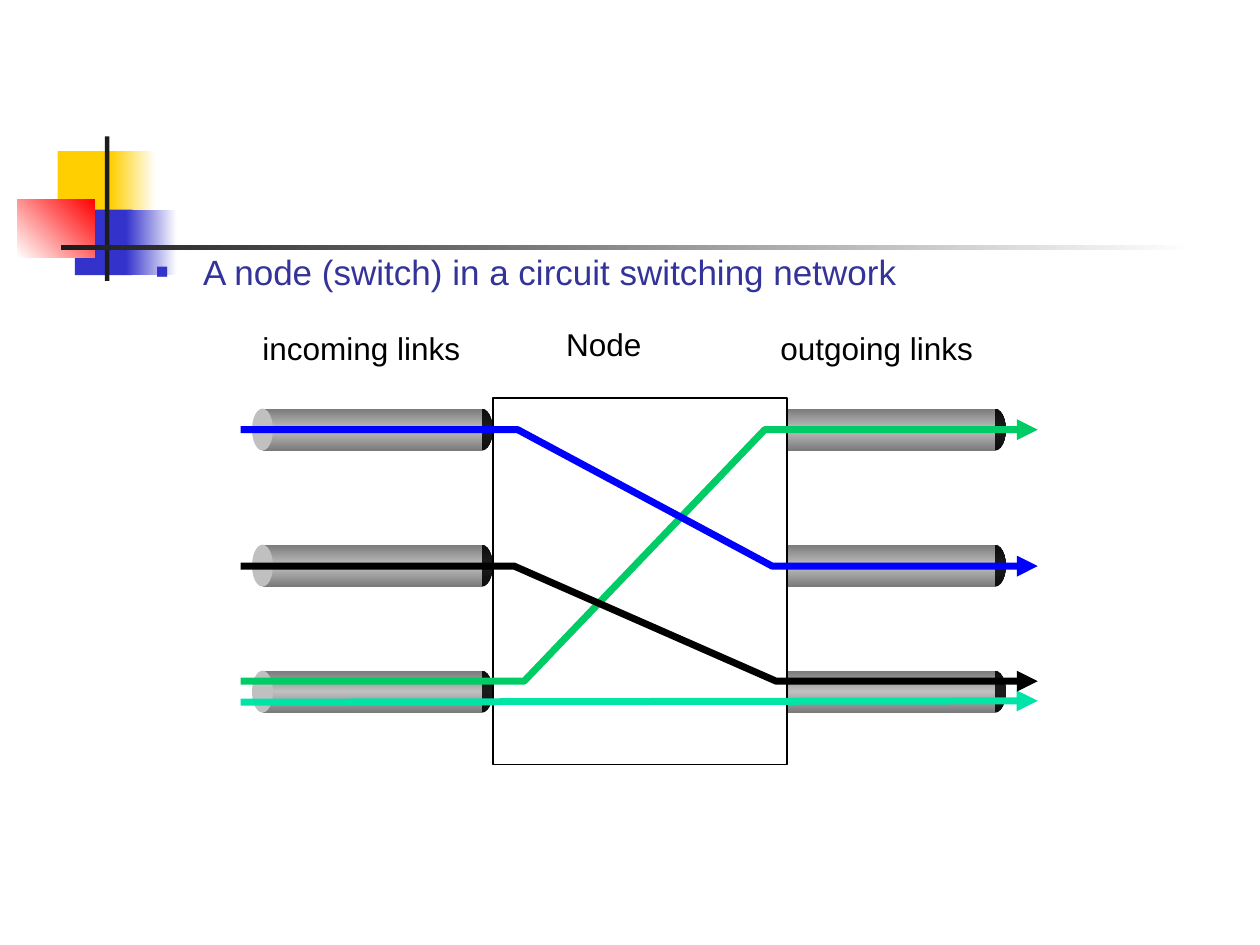
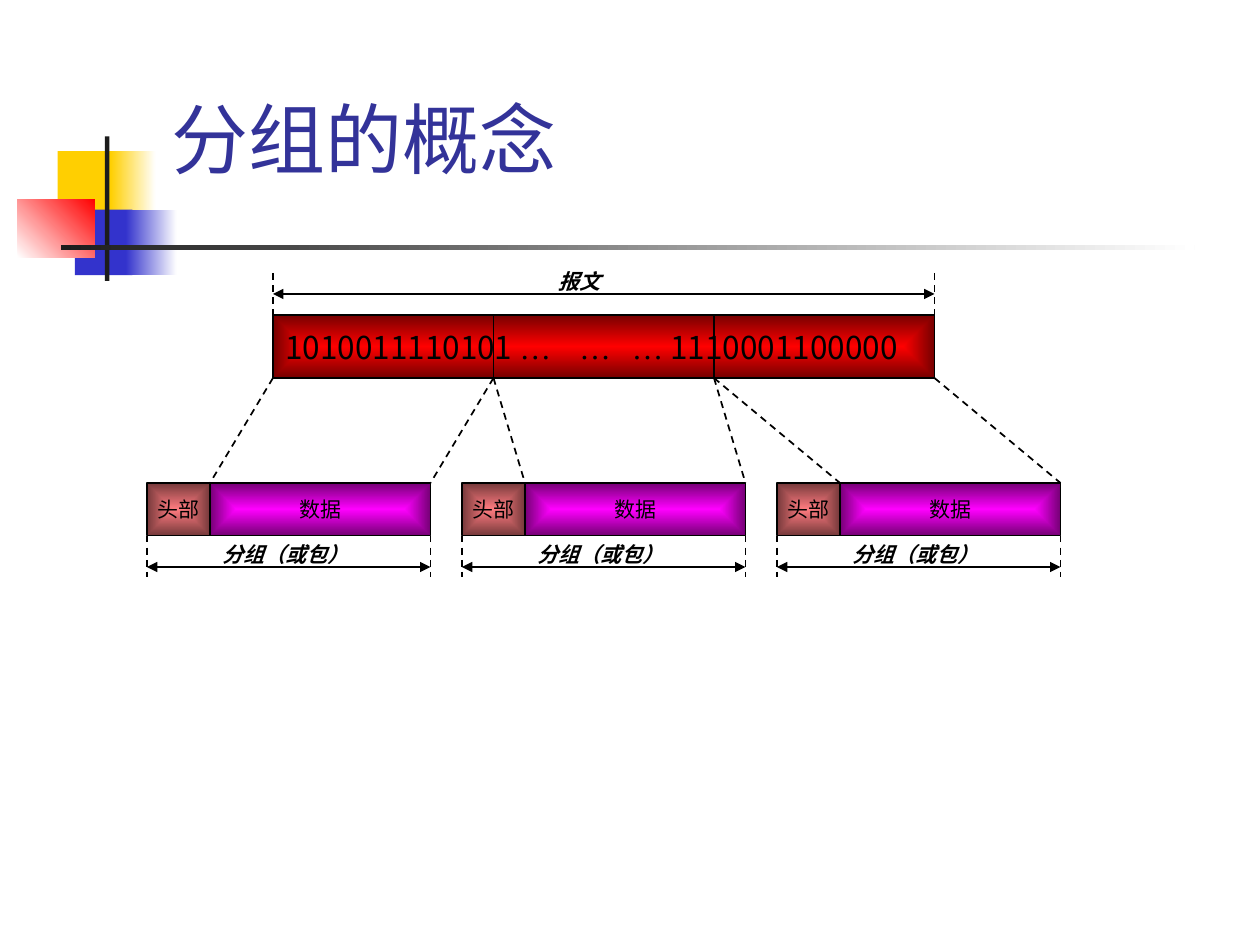
from lxml.etree import SubElement
from pptx import Presentation
from pptx.dml.color import RGBColor
from pptx.enum.dml import MSO_LINE
from pptx.enum.shapes import MSO_CONNECTOR, MSO_SHAPE
from pptx.enum.text import MSO_ANCHOR, MSO_AUTO_SIZE, PP_ALIGN
from pptx.oxml.ns import qn
from pptx.util import Pt

RECT, ELLIPSE = MSO_SHAPE.RECTANGLE, MSO_SHAPE.OVAL
STRAIGHT = MSO_CONNECTOR.STRAIGHT
DASH = MSO_LINE.DASH
LEFT, CENTER = PP_ALIGN.LEFT, PP_ALIGN.CENTER
TOP, MIDDLE, BOTTOM = MSO_ANCHOR.TOP, MSO_ANCHOR.MIDDLE, MSO_ANCHOR.BOTTOM
GROW = MSO_AUTO_SIZE.SHAPE_TO_FIT_TEXT

ARIAL, CJK, TIMES = "Arial", "Noto Sans CJK SC", "Times New Roman"
INSETS = (7.2, 3.6)

COLORS = {
    "white": "FFFFFF", "black": "000000", "ink": "1C1C1C", "title": "333399",
    "yellow": "FFCF01", "indigo": "3333CC", "red": "FF0000",
    "pipe_edge": "7A7A7A", "pipe_mid": "C0C0C0", "cap_edge": "0D0D0D",
    "blue_route": "0000FF", "green_route": "00CC66", "teal_route": "00E4A8",
    "message_edge": "760000", "data": "FF00FF", "data_edge": "760076",
    "header": "FF7C80", "header_edge": "76393B",
}


def rgb(name):
    return RGBColor.from_string(COLORS[name])


def fill_gradient(shape, colors, angle):
    """Spread the colours evenly; without an angle they run from the centre out."""
    shape.fill.gradient()
    gradient = shape._element.spPr.find(qn("a:gradFill"))
    for child in list(gradient):
        gradient.remove(child)
    stops = SubElement(gradient, qn("a:gsLst"))
    for i, color in enumerate(colors):
        stop = SubElement(stops, qn("a:gs"), pos=str(100000 * i // (len(colors) - 1)))
        SubElement(stop, qn("a:srgbClr"), val=COLORS[color])
    if angle is None:
        centre = SubElement(gradient, qn("a:path"), path="rect")
        SubElement(centre, qn("a:fillToRect"), l="50000", t="50000", r="50000", b="50000")
    else:
        SubElement(gradient, qn("a:lin"), ang=str(angle * 60000), scaled="0")


def add_block(slide, box, colors, angle=None, outline=0, kind=RECT):
    block = slide.shapes.add_shape(kind, *map(Pt, box))
    block.shadow.inherit = False
    if len(colors) == 1:
        block.fill.solid()
        block.fill.fore_color.rgb = rgb(colors[0])
    else:
        fill_gradient(block, colors, angle)
    if outline:
        block.line.color.rgb = rgb("black")
        block.line.width = Pt(outline)
    else:
        block.line.fill.background()
    return block


def set_stroke(shape, color, width, ends=()):
    shape.line.color.rgb = rgb(color)
    shape.line.width = Pt(width)
    for end in ends:
        SubElement(shape._element.spPr.find(qn("a:ln")), qn(f"a:{end}"), type="triangle")


def add_line(slide, start, stop, color="black", width=1, dash=None, ends=()):
    line = slide.shapes.add_connector(STRAIGHT, *map(Pt, (*start, *stop)))
    if dash:
        line.line.dash_style = dash
    set_stroke(line, color, width, ends)
    SubElement(line._element.spPr, qn("a:effectLst"))


def add_route(slide, points, color):
    (x, y), *rest = [(Pt(x), Pt(y)) for x, y in points]
    builder = slide.shapes.build_freeform(x, y)
    builder.add_line_segments(rest, close=False)
    route = builder.convert_to_shape()
    route.shadow.inherit = False
    route.fill.background()
    set_stroke(route, color, 4, ["tailEnd"])


def write(shape, runs, size, color="black", align=LEFT, anchor=TOP, insets=INSETS,
          wrap=False, emphasis=None):
    """Fill the shape with one paragraph of (text, font) runs and return it."""
    frame = shape.text_frame
    frame.word_wrap = wrap
    frame.vertical_anchor = anchor
    frame.margin_left = frame.margin_right = Pt(insets[0])
    frame.margin_top = frame.margin_bottom = Pt(insets[1])
    paragraph = frame.paragraphs[0]
    paragraph.alignment = align
    for text, font in runs:
        run = paragraph.add_run()
        run.text = text
        run.font.size = Pt(size)
        run.font.bold = run.font.italic = emphasis
        run.font.color.rgb = rgb(color)
        run.font.name = font
        SubElement(run._r.get_or_add_rPr(), qn("a:ea"),
                   typeface=CJK if font == ARIAL else font)
    return paragraph


def add_text(slide, box, runs, size, grow=True, **style):
    text_box = slide.shapes.add_textbox(*map(Pt, box))
    paragraph = write(text_box, runs, size, **style)
    if grow:
        text_box.text_frame.auto_size = GROW
    return paragraph


def add_backdrop(slide):
    """Coloured squares and crossing rules shared by all slides."""
    for box, colors, angle in [
        ((33, 86.4, 34.5, 37.5), ["yellow"], None),
        ((63.25, 86.4, 25.75, 37.5), ["yellow", "white"], 0),
        ((42.75, 119.75, 33, 37.5), ["indigo"], None),
        ((72, 119.75, 29, 37.5), ["indigo", "white"], 0),
        ((10, 113.75, 44.25, 33.5), ["white", "red"], 315),
        ((60, 78, 2.5, 82.5), ["ink"], None),
        ((34.75, 140.25, 648, 2.5), ["ink", "white"], 0),
    ]:
        add_block(slide, box, colors, angle)


def add_bullet_line(slide, box, text):
    paragraph = add_text(slide, box, [(text, ARIAL)], 20, grow=False,
                         color="title", wrap=True)
    paragraph.space_before = Pt(5)
    props = paragraph._p.get_or_add_pPr()
    indent = Pt(27)
    props.set("marL", str(indent))
    props.set("indent", str(-indent))
    bullet_color = SubElement(props, qn("a:buClr"))
    SubElement(bullet_color, qn("a:srgbClr"), val=COLORS["indigo"])
    SubElement(props, qn("a:buSzPct"), val="60000")
    SubElement(props, qn("a:buFont"), typeface=ARIAL)
    SubElement(props, qn("a:buChar"), char="■")


def add_pipe(slide, left, top, width=137.5, height=24, cap=12):
    add_block(slide, (left + width - cap, top, cap, height),
              ["cap_edge", "ink", "cap_edge"], 90, kind=ELLIPSE)
    add_block(slide, (left + cap / 2, top, width - cap, height),
              ["pipe_edge", "pipe_mid", "pipe_edge"], 90)
    add_block(slide, (left, top, cap, height), ["pipe_mid"], kind=ELLIPSE)


def add_switch(slide, left, top):
    """Node with three links on each side and the routes through it."""
    node_left, node_width = left + 144.25, 168
    outgoing_left = node_left + node_width - 12.5
    pipe_tops = [top + 6, top + 83.75, top + 155.75]
    for pipe_top in reversed(pipe_tops):
        add_pipe(slide, outgoing_left, pipe_top)
    add_block(slide, (node_left, top, node_width, 209.5), ["white"], outline=0.75)
    for pipe_top in pipe_tops:
        add_pipe(slide, left + 6.5, pipe_top)

    for text, middle, y, width in [("incoming links", 69, -39.5, 118),
                                   ("outgoing links", 363.5, -39.5, 116),
                                   ("Node", 207.5, -41.75, 48)]:
        add_text(slide, (left + middle - width / 2, top + y, width, 21.6),
                 [(text, ARIAL)], 18, align=CENTER, insets=(0, 0))

    right = left + 455.5
    lanes = [top + 18, top + 96, top + 161.75]
    add_line(slide, (left, top + 173.75), (right, top + 173), "teal_route", 4,
             ends=["tailEnd"])
    for color, entry, exit_lane, bend_in, bend_out in [
        ("green_route", 2, 0, 162, 299.5),
        ("blue_route", 0, 1, 158.25, 303.75),
        ("black", 1, 2, 156.25, 306),
    ]:
        add_route(slide, [(left, lanes[entry]), (left + bend_in, lanes[entry]),
                          (left + bend_out, lanes[exit_lane]),
                          (right, lanes[exit_lane])], color)


def add_span(slide, left, right, y, tick_top):
    """Double arrow between two dashed ticks."""
    for x in (left, right):
        add_line(slide, (x, tick_top), (x, tick_top + 24), dash=DASH)
    add_line(slide, (left, y), (right, y), ends=["headEnd", "tailEnd"])


def add_message(slide, left, top, part_width, height):
    right = left + 3 * part_width
    message = add_block(slide, (left, top, right - left, height),
                        ["red", "message_edge"], outline=1)
    bits = write(message, [("1010011110101 ", CJK), ("…\t…\t…", TIMES),
                           (" 1110001100000", CJK)], 18, anchor=MIDDLE)
    tabs = SubElement(bits._p.get_or_add_pPr(), qn("a:tabLst"))
    for stop in (168, 198):
        SubElement(tabs, qn("a:tab"), pos=str(Pt(stop)), algn="l")
    for part in (1, 2):
        x = left + part * part_width
        add_line(slide, (x, top), (x, top + height))
    add_span(slide, left, right, top - 12, top - 24)
    add_text(slide, (left + 156, top - 30, 42, 21.6), [("报文", CJK)], 12, emphasis=True)


def add_packet(slide, left, top, header_width, data_width, height):
    data_left = left + header_width
    for text, x, width, color in [("数据", data_left, data_width, "data"),
                                  ("头部", left, header_width, "header")]:
        field = add_block(slide, (x, top, width, height),
                          [color, color + "_edge"], outline=1)
        write(field, [(text, CJK)], 12, align=CENTER, anchor=MIDDLE)
    bottom = top + height
    add_span(slide, left, data_left + data_width, bottom + 18, bottom)
    add_text(slide, (data_left, bottom, 90, 21.6), [("分组（或包）", CJK)], 12,
             emphasis=True)


def add_packetizing(slide, left, top):
    """Message on top, cut into three packets below."""
    header_width, part_width, pitch = 36, 126, 180
    message_left, message_height, packet_top = left + 72, 36, top + 96
    add_message(slide, message_left, top, part_width, message_height)
    for i in range(3):
        packet_left = left + i * pitch
        for edge in (0, part_width):
            add_line(slide, (message_left + i * part_width + edge, top + message_height),
                     (packet_left + header_width + edge, packet_top), dash=DASH)
        add_packet(slide, packet_left, packet_top, header_width, part_width, 30)


def main():
    deck = Presentation()
    deck.slide_width, deck.slide_height = Pt(720), Pt(540)
    switch_slide, packet_slide = [deck.slides.add_slide(deck.slide_layouts[6])
                                  for _ in range(2)]

    add_backdrop(switch_slide)
    add_bullet_line(switch_slide, (82, 139.75, 612, 34.5),
                    "A node (switch) in a circuit switching network")
    add_switch(switch_slide, 137.5, 227.5)

    add_backdrop(packet_slide)
    add_text(packet_slide, (90.75, 16.5, 613.5, 92.25), [("分组的概念", ARIAL)], 44,
             grow=False, color="title", anchor=BOTTOM, wrap=True)
    add_packetizing(packet_slide, 84, 180)

    deck.save("out.pptx")


if __name__ == "__main__":
    main()
